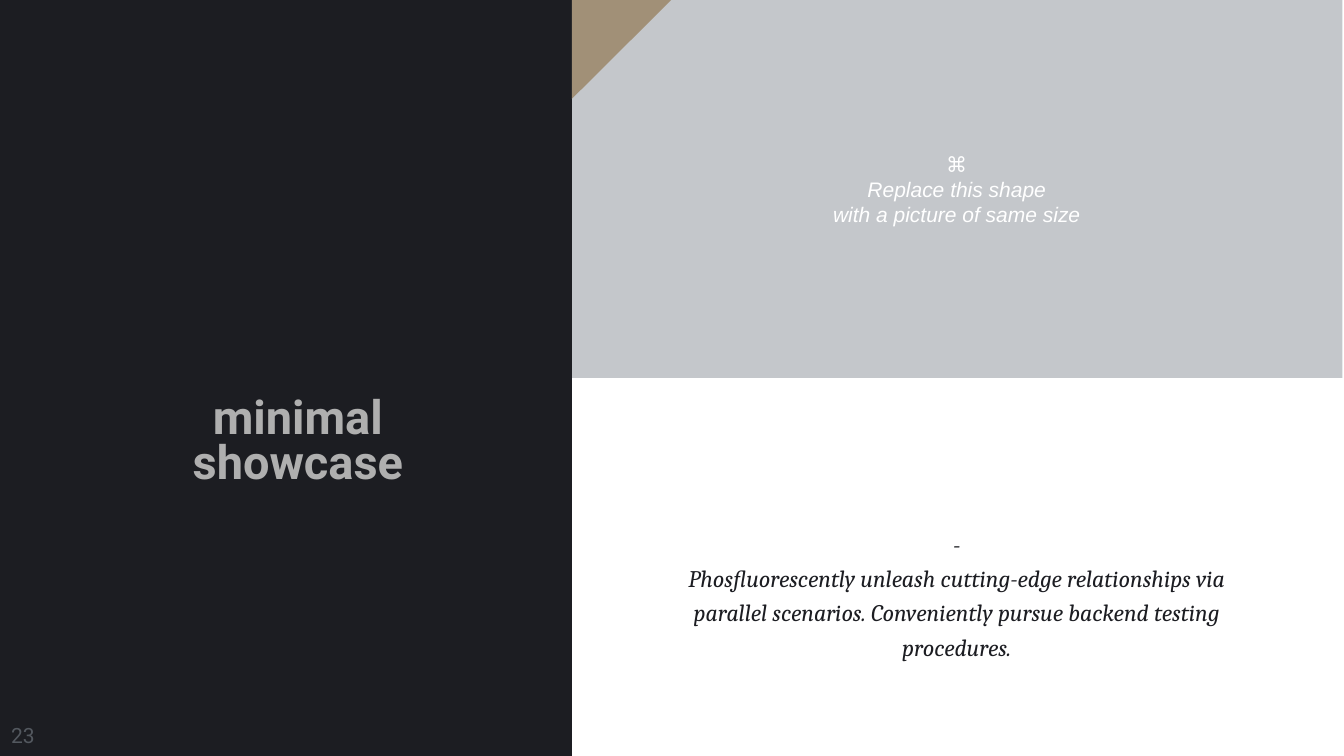
from pptx import Presentation
from pptx.dml.color import RGBColor
from pptx.enum.shapes import MSO_SHAPE
from pptx.enum.text import MSO_ANCHOR, PP_ALIGN
from pptx.util import Inches, Pt

RECTANGLE = MSO_SHAPE.RECTANGLE
MIDDLE = MSO_ANCHOR.MIDDLE
LEFT, CENTER = PP_ALIGN.LEFT, PP_ALIGN.CENTER

COLORS = {
    "ink": "1C1D22",
    "silver": "C4C7CB",
    "bronze": "A19077",
    "title": "AFAFAF",
    "number": "53585F",
    "white": "FFFFFF",
}


def paint(shape, color):
    shape.shadow.inherit = False
    shape.fill.solid()
    shape.fill.fore_color.rgb = RGBColor.from_string(COLORS[color])
    shape.line.fill.background()


def write(shape, lines, color, inset, align, spacing, font):
    frame = shape.text_frame
    frame.word_wrap = True
    frame.vertical_anchor = MIDDLE
    for side in ("left", "top", "right", "bottom"):
        setattr(frame, f"margin_{side}", Inches(inset))
    for index, line in enumerate(lines):
        para = frame.add_paragraph() if index else frame.paragraphs[0]
        para.alignment = align
        para.line_spacing = spacing
        span = para.add_run()
        span.text = line
        for name, value in font.items():
            setattr(span.font, name, value)
        span.font.color.rgb = RGBColor.from_string(COLORS[color])


deck = Presentation()
deck.slide_width = Inches(26.67)
deck.slide_height = Inches(15)
page = deck.slides.add_slide(deck.slide_layouts[6])

photo_area = page.shapes.add_shape(
    RECTANGLE, Inches(11.33), 0, Inches(15.31), Inches(7.5))
paint(photo_area, "silver")
write(photo_area, ["⌘", "Replace this shape", "with a picture of same size"],
      "white", 0.04, CENTER, 1.0,
      {"name": "Arial", "size": Pt(30), "italic": True})

title_panel = page.shapes.add_shape(
    RECTANGLE, 0, 0, Inches(11.35), Inches(15))
paint(title_panel, "ink")

outline = page.shapes.build_freeform(Inches(11.35), 0)
outline.add_line_segments(
    [(Inches(13.32), 0), (Inches(11.35), Inches(1.96))], close=True)
paint(outline.convert_to_shape(), "bronze")

texts = [
    ((2.44, 6.92, 6.94, 3.75), ["minimal showcase"], "title", 0, CENTER, 0.8,
     {"name": "Roboto", "size": Pt(67), "bold": True}),
    ((13.31, 9.74, 11.35, 4.03),
     ["-", "Phosfluorescently unleash cutting-edge relationships via parallel "
      "scenarios. Conveniently pursue backend testing procedures."],
     "ink", 0, CENTER, 1.2,
     {"name": "Cambria", "size": Pt(34), "italic": True}),
    ((0.16, 14.27, 0.69, 0.62), ["23"], "number", 0.06, LEFT, 1.0,
     {"name": "Roboto", "size": Pt(30)}),
]
for place, *content in texts:
    box = page.shapes.add_textbox(*map(Inches, place))
    write(box, *content)

deck.save("out.pptx")
